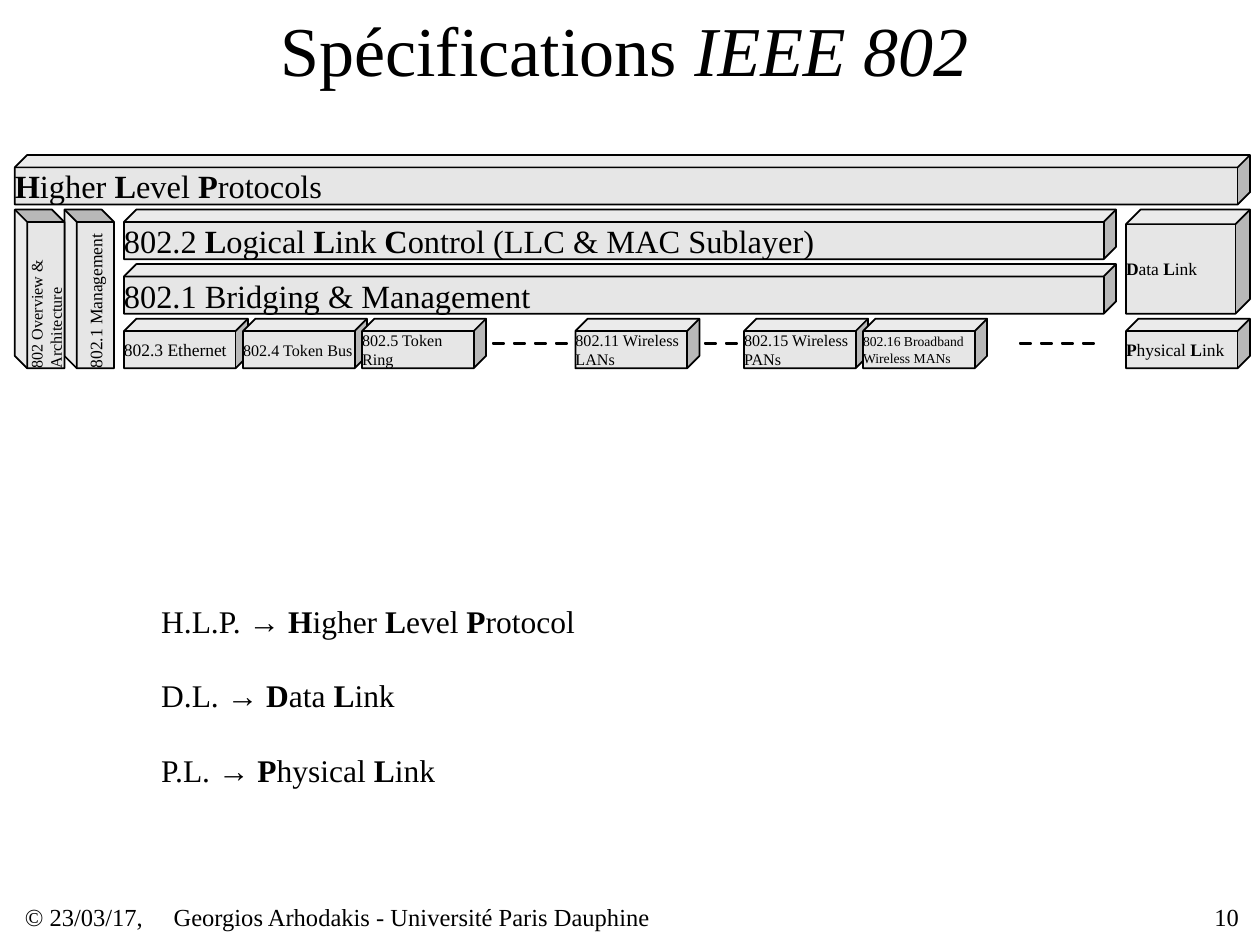
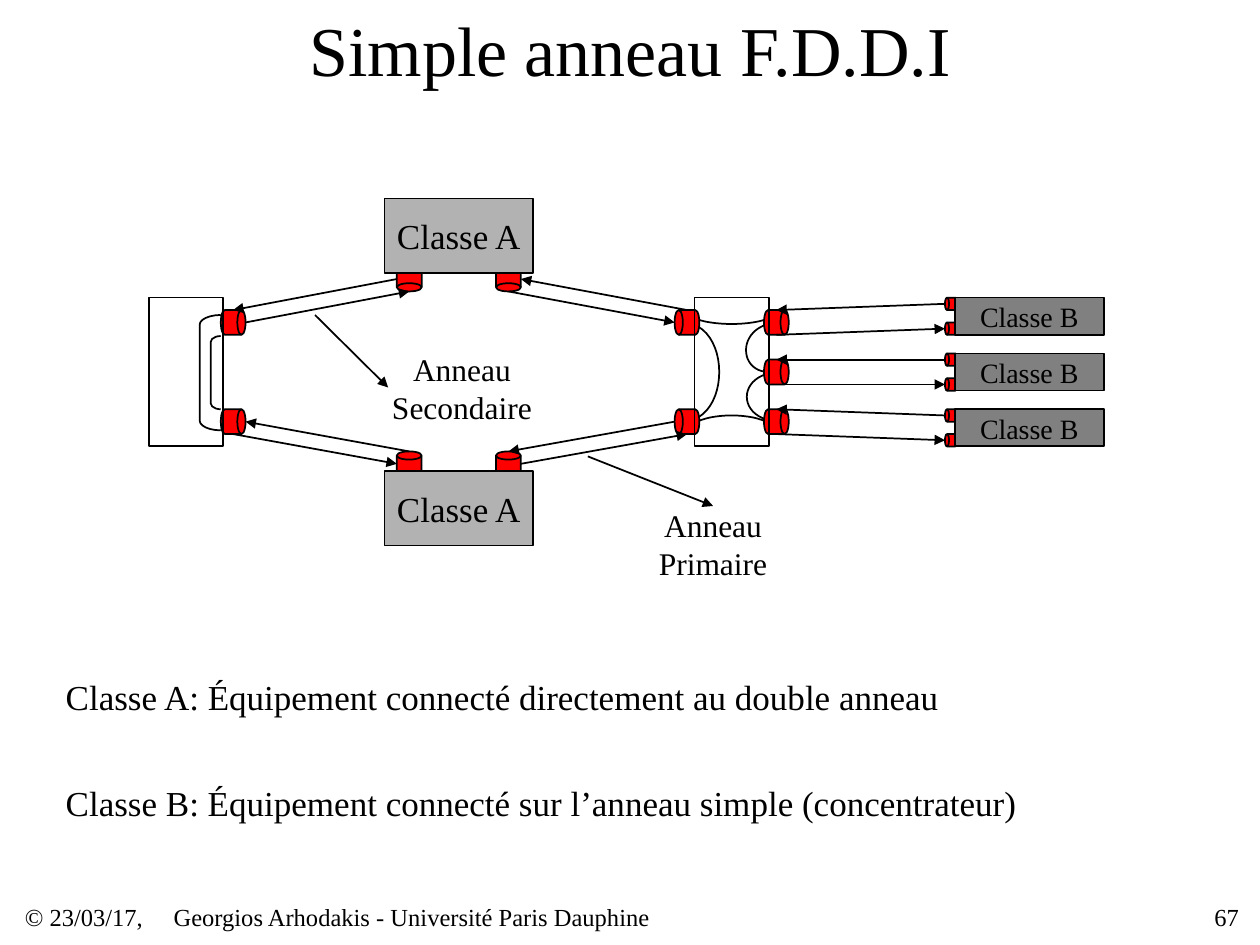
"""Two course slides: the IEEE 802 layer stack and the single FDDI ring."""
from lxml import etree
from pptx import Presentation
from pptx.dml.color import RGBColor
from pptx.enum.shapes import MSO_CONNECTOR, MSO_SHAPE as SHAPE
from pptx.enum.text import MSO_ANCHOR, PP_ALIGN as ALIGN
from pptx.oxml.ns import qn
from pptx.util import Cm, Inches, Pt

CELL = Cm(0.25)
FONT = "Times New Roman"
BLACK = RGBColor(0x00, 0x00, 0x00)
CUBE_GREY = RGBColor(0xE6, 0xE6, 0xE6)
DASH_GREEN = RGBColor(0x00, 0xCC, 0x99)
PORT_RED = RGBColor(0xFF, 0x00, 0x00)
CLASS_A_GREY = RGBColor(0xB2, 0xB2, 0xB2)
CLASS_B_GREY = RGBColor(0x80, 0x80, 0x80)


def add_solid(slide, kind, box, fill=None, rotation=0):
    shape = slide.shapes.add_shape(kind, *[round(cells * CELL) for cells in box])
    shape.shadow.inherit = False
    shape.rotation = rotation
    if fill is None:
        shape.fill.background()
    else:
        shape.fill.solid()
        shape.fill.fore_color.rgb = fill
    shape.line.color.rgb = BLACK
    shape.line.width = Pt(1)
    return shape


def write(target, text, size, box=None, align=ALIGN.LEFT, inset=0, wrap=True, emphasis="bold"):
    """Write text on a shape, or in a new box on a slide; stars enclose emphasis."""
    if box:
        target = target.shapes.add_textbox(*[round(cells * CELL) for cells in box])
    frame = target.text_frame
    frame.word_wrap = wrap
    frame.vertical_anchor = MSO_ANCHOR.MIDDLE
    frame.margin_left = frame.margin_right = Inches(inset)
    frame.margin_top = frame.margin_bottom = Inches(inset / 2)
    paragraph = frame.paragraphs[0]
    paragraph.alignment = align
    for index, part in enumerate(text.split("*")):
        if part:
            run = paragraph.add_run()
            run.text = part
            run.font.name = FONT
            run.font.size = Pt(size)
            run.font.color.rgb = BLACK
            setattr(run.font, emphasis, index % 2 == 1)
    return target


presentation = Presentation()
presentation.slide_width = Inches(10)
presentation.slide_height = Inches(7.5)

slides = []
for title, left, width, number in [
    ("Spécifications *IEEE 802*", 11, 78.7, "10"),
    ("Simple anneau F.D.D.I", 6, 89.6, "67"),
]:
    slide = presentation.slides.add_slide(presentation.slide_layouts[6])
    write(slide, title, 40, (left, 0, width, 7.8), ALIGN.CENTER, 0.1, emphasis="italic")
    for text, left, width, align in [
        ("© 23/03/17,", 2, 12, ALIGN.LEFT),
        ("Georgios Arhodakis - Université Paris Dauphine", 14, 60, ALIGN.LEFT),
        (number, 89.9, 10, ALIGN.RIGHT),
    ]:
        write(slide, text, 14, (left, 72.7, width, 2.4), align)
    slides.append(slide)
stack_slide, ring_slide = slides

PROTOCOL_ROW, LLC_ROW, BRIDGE_ROW, MEDIA_ROW = [12.5 + 4.4 * row for row in range(4)]
for text, size, left, top, width, height, rotation in [
    ("802.2 *L*ogical *L*ink *C*ontrol (LLC & MAC Sublayer)", 18.5, 10, LLC_ROW, 80, 4, 0),
    ("802.1 Bridging & Management", 18.5, 10, BRIDGE_ROW, 80, 4, 0),
    ("802.3 Ethernet", 10, 10, MEDIA_ROW, 10, 4, 0),
    ("802.4 Token Bus", 9.2, 19.6, MEDIA_ROW, 10, 4, 0),
    ("802.5 Token Ring", 9.2, 29.2, MEDIA_ROW, 10, 4, 0),
    ("802.11 Wireless LANs", 9.2, 46.4, MEDIA_ROW, 10, 4, 0),
    ("802.15 Wireless PANs", 9.2, 60, MEDIA_ROW, 10, 4, 0),
    ("802.16 Broadband Wireless MANs", 7.8, 69.6, MEDIA_ROW, 10, 4, 0),
    ("802.1 Management", 10, 0.8, BRIDGE_ROW, 12.8, 4, 270),
    ("802 Overview & Architecture", 9.2, -3.2, BRIDGE_ROW, 12.8, 4, 270),
    ("*P*hysical *L*ink", 10, 90.8, MEDIA_ROW, 10, 4, 0),
    ("*D*ata *L*ink", 10, 90.8, LLC_ROW, 10, 8.4, 0),
    ("*H*igher *L*evel *P*rotocols", 18.5, 1.2, PROTOCOL_ROW, 99.6, 4, 0),
]:
    cube = add_solid(stack_slide, SHAPE.CUBE, (left, top, width, height), CUBE_GREY, rotation)
    cube.adjustments[0] = 0.14 if height > 4 else 0.25
    write(cube, text, size)

for first, count in [(39.6, 4), (56.7, 2), (82.1, 4)]:
    for index in range(count):
        add_solid(stack_slide, SHAPE.MATH_MINUS, (first + 1.7 * index, 27.5, 1.2, 0.4), DASH_GREEN)

for index, text in enumerate([
    "H.L.P. *→ H*igher *L*evel *P*rotocol",
    "D.L. *→ D*ata *L*ink",
    "P.L. *→ P*hysical *L*ink",
]):
    write(stack_slide, text, 18, (12, 48 + 6 * index, 46.2, 4.1), inset=0.1)

for text, top in [
    ("Classe A: Équipement connecté directement au double anneau", 54),
    ("Classe B: Équipement connecté sur l’anneau simple (concentrateur)", 62.5),
]:
    write(ring_slide, text, 20, (4.3, top, 92.5, 4.4), inset=0.1)

for start, first_control, second_control, end in [
    ((55.4, 25), (55.4, 26.5), (62.6, 26.5), (62.6, 25)),
    ((55, 26), (59, 26), (59, 34), (55, 34)),
    ((55.4, 35), (55.4, 33), (62.6, 33), (62.6, 35)),
    ((63, 26), (59.4, 26), (59.4, 30), (62, 30)),
    ((63, 30), (59.3, 30), (59.3, 34), (63, 34)),
]:
    points = []
    for step in range(25):
        t = step / 24
        weights = ((1 - t) ** 3, 3 * t * (1 - t) ** 2, 3 * t ** 2 * (1 - t), t ** 3)
        controls = (start, first_control, second_control, end)
        points.append([
            round(CELL * sum(weight * control[axis] for weight, control in zip(weights, controls)))
            for axis in (0, 1)
        ])
    builder = ring_slide.shapes.build_freeform(*points[0])
    builder.add_line_segments(points[1:], close=False)
    curve = builder.convert_to_shape()
    curve.shadow.inherit = False
    curve.fill.background()
    curve.line.color.rgb = BLACK
    curve.line.width = Pt(1)

ports = [(left, top, 2, rotation) for top, rotation in [(21.5, 180), (36.4, 0)] for left in (32, 40)]
ports += [(left, top, 2, rotation) for left, rotation in [(17.8, 90), (54.4, 270)] for top in (25, 33)]
ports += [(61.6, 25 + 4 * row, 2, 90) for row in range(3)]
ports += [(76.2, 24 + 4.5 * row + offset, 1, 270) for row in range(3) for offset in (0, 2)]
for left, top, size, rotation in ports:
    add_solid(ring_slide, SHAPE.FLOWCHART_MAGNETIC_DISK, (left, top, size, size), PORT_RED, rotation)

stations = [("Classe A", 20, 31, top, 6, CLASS_A_GREY) for top in (16, 38)]
stations += [("Classe B", 16, 77, 24 + 4.5 * row, 3, CLASS_B_GREY) for row in range(3)]
for text, size, left, top, height, fill in stations:
    station = add_solid(ring_slide, SHAPE.RECTANGLE, (left, top, 12, height), fill)
    write(station, text, size, align=ALIGN.CENTER, inset=0.1, wrap=False)

for left in (12, 56):
    add_solid(ring_slide, SHAPE.RECTANGLE, (left, 24, 6, 12))

for box, curvature in [((17, 27.1, 0.8, 5.9), 0.58), ((16.1, 25.4, 1.7, 9.3), 0.46)]:
    bracket = add_solid(ring_slide, SHAPE.LEFT_BRACKET, box)
    bracket.adjustments[0] = curvature

primary_label = write(ring_slide, "Anneau Primaire", 18, (52.3, 40.8, 10.4, 6.1), ALIGN.CENTER)
secondary_label = write(ring_slide, "Anneau Secondaire", 18, (31.3, 28.2, 11.9, 6.1), ALIGN.CENTER)

arrows = [
    (32, 22.5, 18.8, 25, None, 0),
    (19.8, 26, 33, 23.5, None, 0),
    (18.8, 35, 32, 37.4, None, 0),
    (33, 36.4, 19.8, 34, None, 0),
    (42, 37.4, 55.4, 35, None, 0),
    (54.4, 34, 41, 36.4, None, 0),
    (55.4, 25, 42, 22.5, None, 0),
    (41, 23.5, 54.4, 26, None, 0),
    (47.4, 36.8, 57.5, 40.8, primary_label, 0),
    (25.4, 25.4, 31.3, 31.3, secondary_label, 1),
]
for row in range(3):
    arrows.append((62.6, 27 + 4 * row, 76.2, 26.5 + 4.5 * row, None, 0))
    arrows.append((76.2, 24.5 + 4.5 * row, 62.6, 25 + 4 * row, None, 0))
for *ends, label, side in arrows:
    arrow = ring_slide.shapes.add_connector(
        MSO_CONNECTOR.STRAIGHT, *[round(cells * CELL) for cells in ends]
    )
    arrow.line.color.rgb = BLACK
    arrow.line.width = Pt(1)
    etree.SubElement(arrow.line._get_or_add_ln(), qn("a:tailEnd"), type="triangle")
    etree.SubElement(arrow._element.spPr, qn("a:effectLst"))
    if label is not None:
        arrow.end_connect(label, side)

presentation.save("out.pptx")
